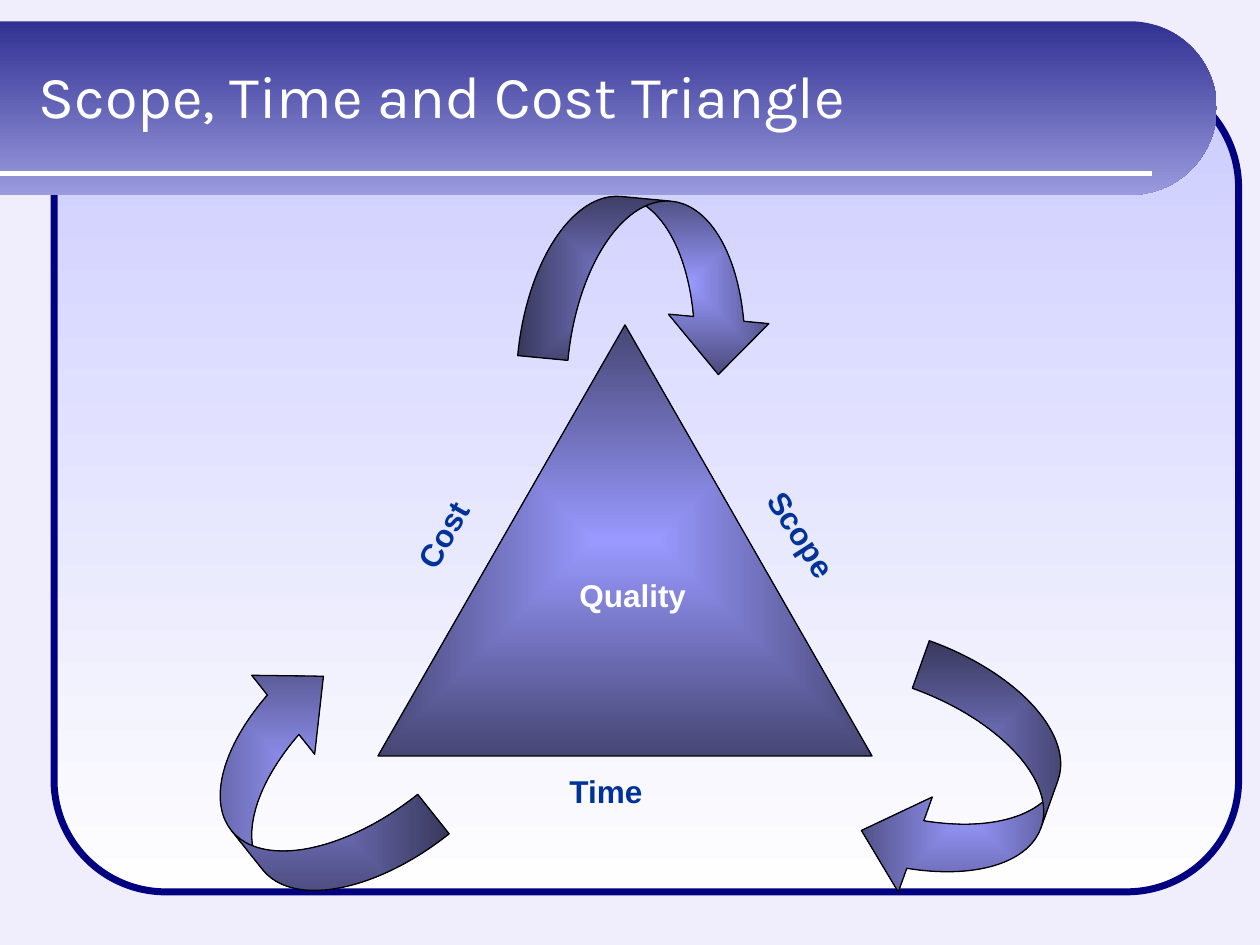
import math
import pptx
import pptx.util
import pptx.dml.color
import pptx.enum.shapes
import pptx.enum.text
import pptx.oxml.ns
from lxml import etree

Cm = pptx.util.Cm
Pt = pptx.util.Pt
RGB = pptx.dml.color.RGBColor.from_string
SHAPE = pptx.enum.shapes.MSO_SHAPE
ANCHOR = pptx.enum.text.MSO_ANCHOR
qn = pptx.oxml.ns.qn

COLORS = {
    "backdrop": "F0EDFD", "frame_top": "CCCCFF", "frame_bottom": "FEFEFE",
    "frame_line": "000080", "band_top": "313193", "band_bottom": "9A9ADE",
    "glow": "9999FF", "edge": "464675", "outline": "000000",
    "label": "003399", "white": "FFFFFF",
}


def style_shape(shape, first, last, line=None, width=0.74, centred=False):
    shape.shadow.inherit = False
    shape.fill.gradient()
    for stop, name in zip(shape.fill.gradient_stops, (first, last)):
        stop.color.rgb = RGB(COLORS[name])
    if centred:
        gradient = shape._element.spPr.find(qn("a:gradFill"))
        gradient.remove(gradient.find(qn("a:lin")))
        route = etree.SubElement(gradient, qn("a:path"), {"path": "rect"})
        etree.SubElement(route, qn("a:fillToRect"), dict.fromkeys("ltrb", "50000"))
    else:
        shape.fill.gradient_angle = 270
    if line:
        shape.line.color.rgb = RGB(COLORS[line])
        shape.line.width = Pt(width)
    else:
        shape.line.fill.background()


def add_text(words, place, size, font, color, bold=False, angle=0):
    box = page.shapes.add_textbox(*map(Cm, place))
    box.rotation = angle
    frame = box.text_frame
    frame.word_wrap = True
    para = frame.paragraphs[0]
    span = para.add_run()
    span.text = words
    span.font.size = Pt(size)
    span.font.name = font
    span.font.bold = bold
    span.font.color.rgb = RGB(COLORS[color])
    return box


deck = pptx.Presentation()
deck.slide_width = Cm(25.4)
deck.slide_height = Cm(19.05)
page = deck.slides.add_slide(deck.slide_layouts[6])
page.background.fill.solid()
page.background.fill.fore_color.rgb = RGB(COLORS["backdrop"])

panel = page.shapes.add_shape(SHAPE.ROUNDED_RECTANGLE, Cm(1.09), Cm(1.52), Cm(23.88), Cm(16.46))
panel.adjustments[0] = 0.137
style_shape(panel, "frame_top", "frame_bottom", "frame_line", 4)

radius, center_x, center_y = 1.75, 22.78, 2.18
outline = page.shapes.build_freeform(Cm(0), Cm(center_y - radius))
curve = []
for degrees in range(-90, 91, 3):
    turn = math.radians(degrees)
    curve.append((Cm(center_x + radius * math.cos(turn)), Cm(center_y + radius * math.sin(turn))))
outline.add_line_segments(curve + [(Cm(0), Cm(center_y + radius))], close=True)
band = outline.convert_to_shape()
style_shape(band, "band_top", "band_bottom")

rule = page.shapes.add_connector(
    pptx.enum.shapes.MSO_CONNECTOR.STRAIGHT, Cm(0), Cm(3.5), Cm(23.22), Cm(3.5))
rule.line.color.rgb = RGB(COLORS["white"])
rule.line.width = Pt(3)
etree.SubElement(rule._element.spPr, qn("a:effectLst"))

title = add_text("Scope, Time and Cost Triangle", (0.53, 0.64, 22.28, 2.54), 34, "Karla", "white")
title.text_frame.vertical_anchor = ANCHOR.MIDDLE

triangle = page.shapes.add_shape(SHAPE.ISOSCELES_TRIANGLE, Cm(7.62), Cm(6.55), Cm(9.96), Cm(8.69))
style_shape(triangle, "glow", "edge", "outline", centred=True)

labels = [
    ("Time", 11.23, 15.44, 3.18, 0, "label"),
    ("Scope", 14.78, 10.59, 3.18, 57.3, "label"),
    ("Cost", 7.34, 9.19, 4.39, 299.5, "label"),
    ("Quality", 11.43, 11.48, 3.18, 0, "white"),
]
for words, left, top, width, angle, color in labels:
    label = add_text(words, (left, top, width, 1.02), 18, "Arial", color, True, angle)
    label.text_frame.paragraphs[0].space_before = Pt(11.2)

for left, top, angle in [(17.78, 13.34, 19.7), (11.43, 3.18, 275.4), (4.45, 13.34, 141.4)]:
    arrow = page.shapes.add_shape(SHAPE.CURVED_LEFT_ARROW, Cm(left), Cm(top), Cm(3.39), Cm(5.08))
    arrow.rotation = angle
    for index, share in enumerate((0.3, 0.6, 0.33)):
        arrow.adjustments[index] = share
    style_shape(arrow, "glow", "edge", "outline", centred=True)

deck.save("out.pptx")
